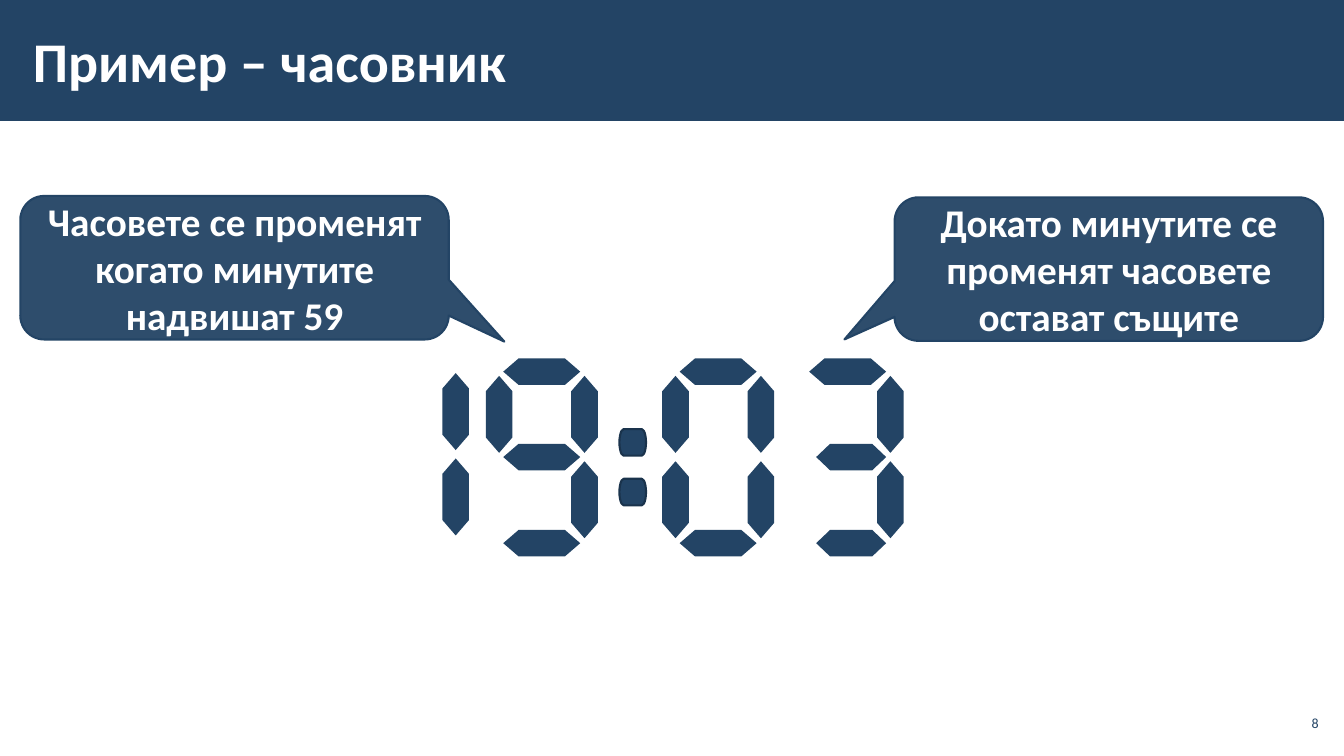
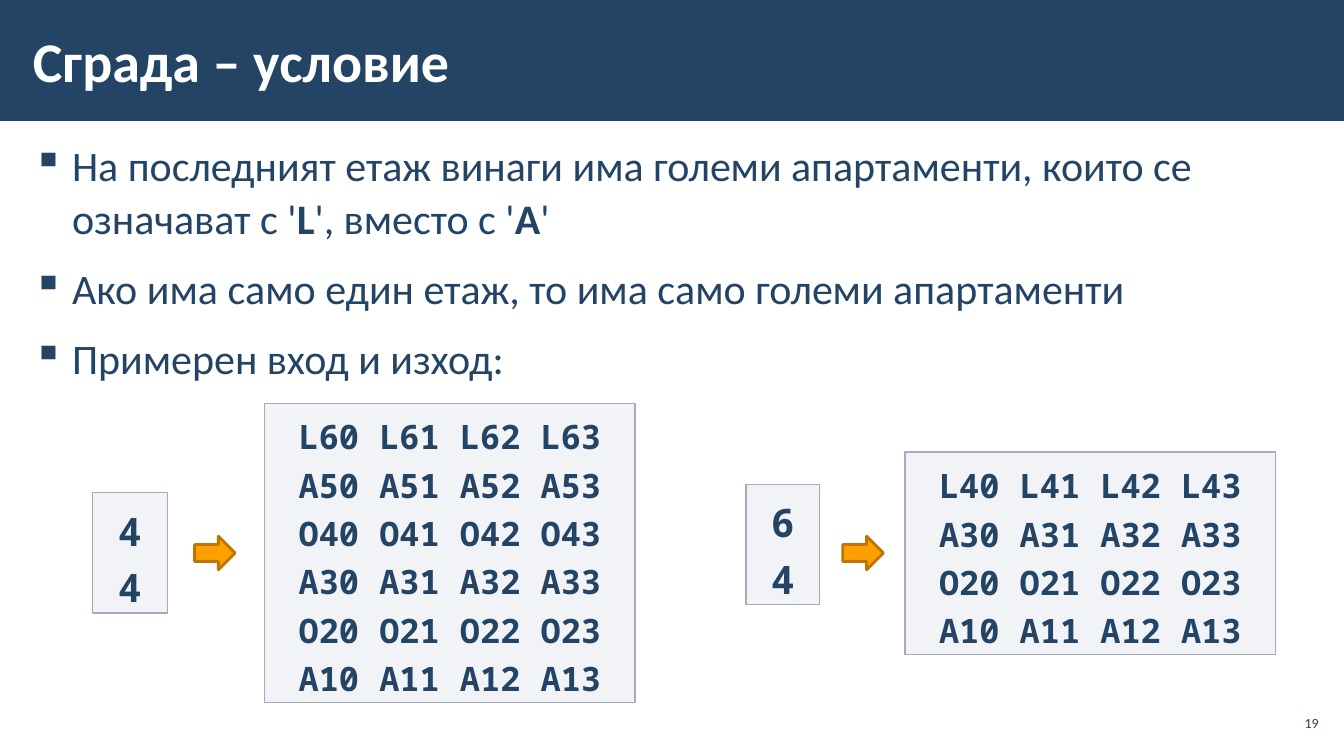
from lxml import etree
from pptx import Presentation
from pptx.dml.color import RGBColor
from pptx.enum import shapes, text
from pptx.oxml import ns
from pptx.util import Pt

NAVY = RGBColor(0x23, 0x44, 0x65)
DARK = RGBColor(0x1A, 0x33, 0x4C)
WHITE = RGBColor(0xFF, 0xFF, 0xFF)
GREY = RGBColor(0xC2, 0xC7, 0xD2)
EDGE = RGBColor(0xA3, 0xAB, 0xBC)
AMBER = RGBColor(0xFF, 0xA0, 0x00)
BROWN = RGBColor(0xBD, 0x76, 0x00)
SANS, MONO = "Calibri", "Noto Sans Mono"
KIND = shapes.MSO_SHAPE
ALIGN = text.PP_ALIGN
MIDDLE = text.MSO_ANCHOR.MIDDLE


def draw(slide, kind, box, fill, line=None, width=1, alpha=100):
    """Add a preset shape; alpha is the opacity of its fill in percent."""
    shape = slide.shapes.add_shape(kind, *map(Pt, box))
    shape.shadow.inherit = False
    shape.fill.solid()
    shape.fill.fore_color.rgb = fill
    if alpha < 100:
        tone = shape._element.spPr.find(ns.qn("a:solidFill"))[0]
        etree.SubElement(tone, ns.qn("a:alpha"), val=str(alpha * 1000))
    if line is None:
        shape.line.fill.background()
    else:
        shape.line.color.rgb = line
        shape.line.width = Pt(width)
    return shape


def style(frame, size, color, font=SANS, bold=False, align=ALIGN.LEFT, space=1.0):
    """Format all paragraphs and runs of a frame."""
    frame.word_wrap = True
    for para in frame.paragraphs:
        para.alignment = align
        para.line_spacing = space
        for run in para.runs:
            run.font.size = Pt(size)
            run.font.name = font
            run.font.bold = bold
            run.font.color.rgb = color


deck = Presentation()
deck.slide_width, deck.slide_height = Pt(960), Pt(540)

# Shared band, title and page number
pages = []
for title, number in (("Пример – часовник", 8), ("Сграда – условие", 19)):
    page = deck.slides.add_slide(deck.slide_layouts[6])
    draw(page, KIND.RECTANGLE, (0, 0, 960, 86.4), NAVY)
    head = page.shapes.add_textbox(Pt(15), Pt(8), Pt(765), Pt(70)).text_frame
    head.text = title
    head.margin_left = Pt(8.5)
    head.vertical_anchor = MIDDLE
    style(head, 40, WHITE, bold=True)
    foot = page.shapes.add_textbox(Pt(911), Pt(504), Pt(34), Pt(24.5)).text_frame
    foot.text = str(number)
    foot.margin_left = foot.margin_right = Pt(3)
    foot.vertical_anchor = MIDDLE
    style(foot, 10, NAVY, align=ALIGN.RIGHT)
    pages.append(page)
clock, house = pages

# Clock: seven-segment digits, each bar placed from the digit centre
LONG, THICK, HALF = 55, 19, 30.5
BARS = {
    "a": (0, -61), "g": (0, 0), "d": (0, 61.5),
    "f": (-HALF, -30.5), "b": (HALF, -30.5),
    "e": (-HALF, 30.5), "c": (HALF, 30.5),
}
DIGITS = (
    ("bc", 295, 324.5, 0),
    ("abcdfg", 387, 326.5, 0),
    ("abcdef", 513, 326.5, 0),
    ("abcdg", 605.5, 326.5, 5),
)
for bars, left, top, trim in DIGITS:
    for bar in bars:
        dx, dy = BARS[bar]
        cut = trim if bar in "gd" else 0
        size = LONG - cut
        x = left + dx + cut / 2 - size / 2
        y = top + dy - THICK / 2
        part = draw(clock, KIND.FLOWCHART_PREPARATION, (x, y, size, THICK), NAVY)
        part.rotation = 0 if bar in "agd" else 90
for y in (306.5, 342):
    draw(clock, KIND.FLOWCHART_TERMINATOR, (442.5, y, THICK, THICK), NAVY, DARK, 1.5)

NOTES = (
    ("Часовете се променят когато минутите надвишат 59", 14.5, 140, (0.63, 0.515)),
    ("Докато минутите се променят часовете остават същите", 639, 141, (-0.617, 0.49)),
)
for words, x, y, tip in NOTES:
    note = draw(clock, KIND.ROUNDED_RECTANGULAR_CALLOUT, (x, y, 306, 102.5),
                NAVY, NAVY, 1.5, 95)
    note.adjustments[0], note.adjustments[1] = tip
    note.text_frame.text = words
    note.text_frame.vertical_anchor = MIDDLE
    style(note.text_frame, 28, WHITE, bold=True, align=ALIGN.CENTER)

# Building: rules as bullets
body = house.shapes.add_textbox(Pt(15), Pt(94.5), Pt(930), Pt(190)).text_frame
body.text = "\n".join((
    "На последният етаж винаги има големи апартаменти, които се означават с '",
    "Ако има само един етаж, то има само големи апартаменти",
    "Примерен вход и изход:",
))
body.margin_left = body.margin_right = Pt(8.5)
first = body.paragraphs[0]
for words in ("L", "', вместо с '", "А", "'"):
    first.add_run().text = words
style(body, 30, NAVY, space=1.05)
for run in first.runs[1::2]:
    run.font.bold = True
for para in body.paragraphs:
    para.space_before = para.space_after = Pt(6)
    props = para._p.get_or_add_pPr()
    props.set("marL", str(Pt(28)))
    props.set("indent", str(-Pt(28)))
    etree.SubElement(props, ns.qn("a:buChar"), char="▪")

# Building: sample input and output
BOXES = (
    ("4\n4", (66, 352, 53.5, 86), 28),
    ("L60 L61 L62 L63\nA50 A51 A52 A53\nO40 O41 O42 O43\n"
     "A30 A31 A32 A33\nO20 O21 O22 O23\nA10 A11 A12 A13", (189, 288, 264.5, 214), 24),
    ("6\n4", (533, 346, 52.5, 86), 28),
    ("L40 L41 L42 L43\nA30 A31 A32 A33\nO20 O21 O22 O23\nA10 A11 A12 A13",
     (646.5, 323, 264.5, 144.5), 24),
)
for words, box, size in BOXES:
    pane = draw(house, KIND.RECTANGLE, box, GREY, EDGE, 1, 20)
    pane.text_frame.text = words
    pane.text_frame.vertical_anchor = text.MSO_ANCHOR.TOP
    style(pane.text_frame, size, NAVY, MONO, True, ALIGN.CENTER, 1.2)
for x in (139, 602):
    draw(house, KIND.RIGHT_ARROW, (x, 383, 29, 24), AMBER, BROWN, 2)

deck.save("out.pptx")
